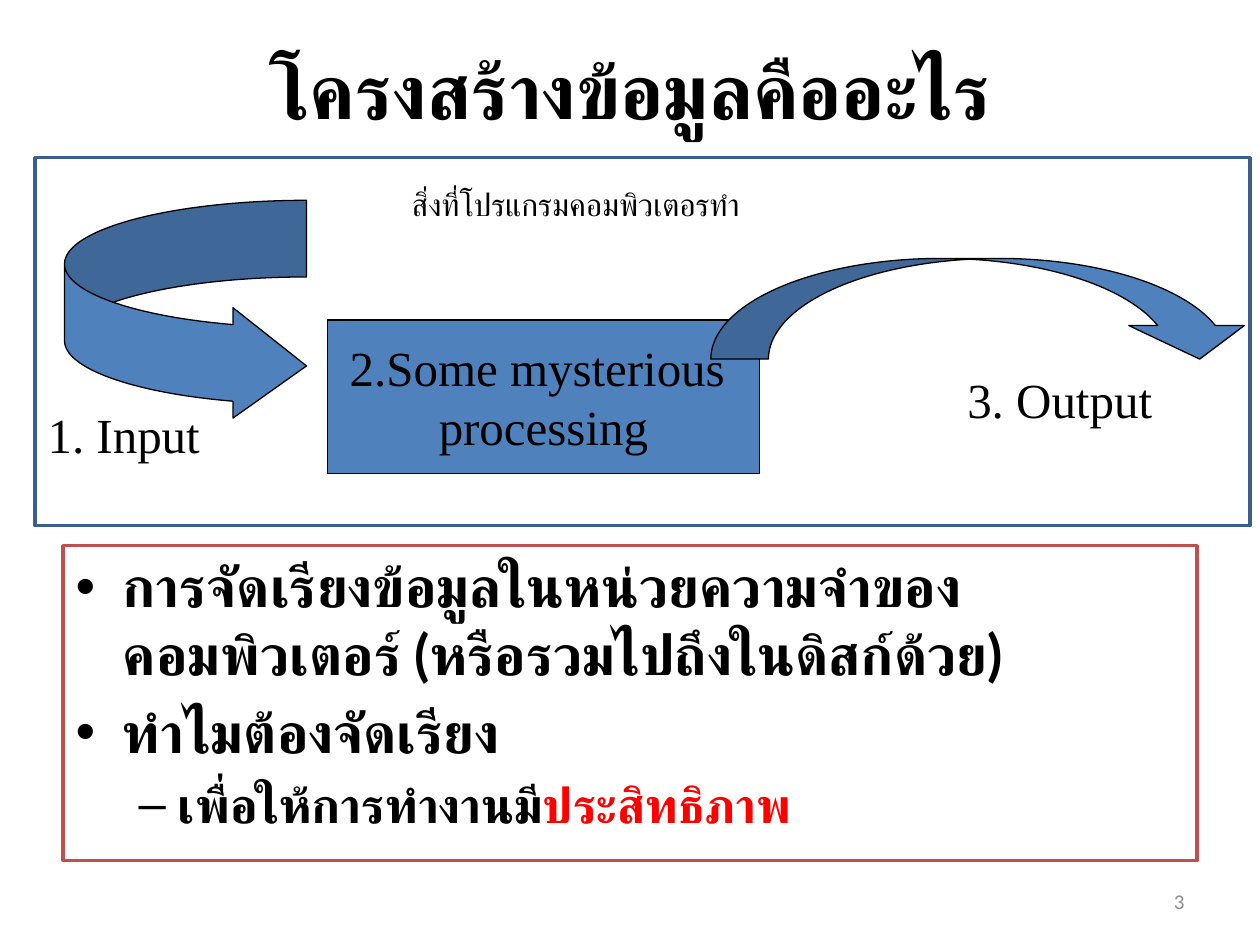
from lxml.etree import SubElement
from pptx import Presentation
from pptx.dml.color import RGBColor
from pptx.enum.shapes import MSO_SHAPE
from pptx.enum.text import MSO_ANCHOR, MSO_AUTO_SIZE, PP_ALIGN
from pptx.oxml.ns import qn
from pptx.util import Cm, Pt

BLACK, BLUE, RED = "000000", "4F81BD", "FF0000"
SERIF = {"name": "Times New Roman", "size": Pt(28)}
HEAD = {"name": "Lato", "size": Pt(44), "bold": True}
LIST = {**HEAD, "size": Pt(32)}
SUB = {**HEAD, "size": Pt(28)}


def tint(part, color):
    """Colour a font, or a solid fill."""
    if hasattr(part, "solid"):
        part.solid()
        part.fore_color.rgb = RGBColor.from_string(color)
    else:
        part.color.rgb = RGBColor.from_string(color)


def write(para, text, form, color=BLACK):
    """Add a run, with its font set for Thai letters too."""
    run = para.add_run()
    run.text = text
    for key, val in form.items():
        setattr(run.font, key, val)
    tint(run.font, color)
    SubElement(run.font._element, qn("a:cs"), typeface=form["name"])


prs = Presentation()
prs.slide_width, prs.slide_height = Cm(25.4), Cm(19.05)
slide = prs.slides.add_slide(prs.slide_layouts[1])
shapes = slide.shapes
title, body = shapes.title, slide.placeholders[1]

# Title and list places
for item, spot in ((title, (1.27, 0.2, 22.86, 3.18)),
                   (body, (1.27, 11, 22.86, 6.35))):
    item.left, item.top, item.width, item.height = map(Cm, spot)
    item.text_frame.auto_size = MSO_AUTO_SIZE.NONE
write(title.text_frame.paragraphs[0], "โครงสร้างข้อมูลคืออะไร", HEAD)

# Bullet list in a red frame
tint(body.fill, "FFFFFF")
tint(body.line, "C0504D")
body.line.width = Pt(2)
items = [
    (0, LIST, [("การจัดเรียงข้อมูลในหน่วยความจำของคอมพิวเตอร์ (หรือรวมไปถึงในดิสก์ด้วย)", BLACK)]),
    (0, LIST, [("ทำไมต้องจัดเรียง", BLACK)]),
    (1, SUB, [("เพื่อให้การทำงานมี", BLACK), ("ประสิทธิภาพ", RED)]),
]
frame = body.text_frame
for num, (level, form, runs) in enumerate(items):
    para = frame.add_paragraph() if num else frame.paragraphs[0]
    para.level = level
    if not num:
        para.space_before = Pt(0)
    for text, color in runs:
        write(para, text, form, color)

# Process box, arrows and outer frame
parts = [
    (MSO_SHAPE.CURVED_RIGHT_ARROW, (1.3, 4.04, 4.88, 4.45),
     (0.347, 0.695, 0.333), BLUE, BLACK, 0.75, []),
    (MSO_SHAPE.RECTANGLE, (6.6, 6.45, 8.71, 3.1),
     (), BLUE, BLACK, 0.75, ["2.Some mysterious ", "processing"]),
    (MSO_SHAPE.CURVED_DOWN_ARROW, (14.33, 5.21, 11.02, 2.03),
     (0.573, 1.147, 0.333), BLUE, BLACK, 0.75, []),
    (MSO_SHAPE.RECTANGLE, (0.71, 3.18, 24.49, 7.42),
     (), None, "3A5F8C", 2, []),
]
for kind, spot, bends, fill, edge, width, lines in parts:
    shape = shapes.add_shape(kind, *map(Cm, spot))
    shape.shadow.inherit = False
    for num, bend in enumerate(bends):
        shape.adjustments[num] = bend
    if fill:
        tint(shape.fill, fill)
    else:
        shape.fill.background()
    tint(shape.line, edge)
    shape.line.width = Pt(width)
    frame = shape.text_frame
    frame.word_wrap = False
    frame.vertical_anchor = MSO_ANCHOR.MIDDLE
    for num, text in enumerate(lines):
        para = frame.add_paragraph() if num else frame.paragraphs[0]
        para.alignment = PP_ALIGN.CENTER
        write(para, text, SERIF)

# Labels, caption and page number
notes = [
    ("1. Input", (0.71, 8.03, 3.73, 1.45), SERIF, BLACK, PP_ALIGN.LEFT),
    ("3. Output", (19.25, 7.32, 5.64, 1.45), SERIF, BLACK, PP_ALIGN.LEFT),
    ("สิ่งที่โปรแกรมคอมพิวเตอรทำ", (8.05, 3.61, 9.32, 1.02),
     {"name": "Calibri", "size": Pt(18)}, BLACK, PP_ALIGN.LEFT),
    ("3", (18.21, 17.65, 5.92, 1.02),
     {"name": "Calibri", "size": Pt(12)}, "8C8C8C", PP_ALIGN.RIGHT),
]
for text, spot, form, color, align in notes:
    frame = shapes.add_textbox(*map(Cm, spot)).text_frame
    frame.word_wrap = True
    frame.vertical_anchor = MSO_ANCHOR.MIDDLE if text == "3" else MSO_ANCHOR.TOP
    frame.paragraphs[0].alignment = align
    write(frame.paragraphs[0], text, form, color)

prs.save("out.pptx")
